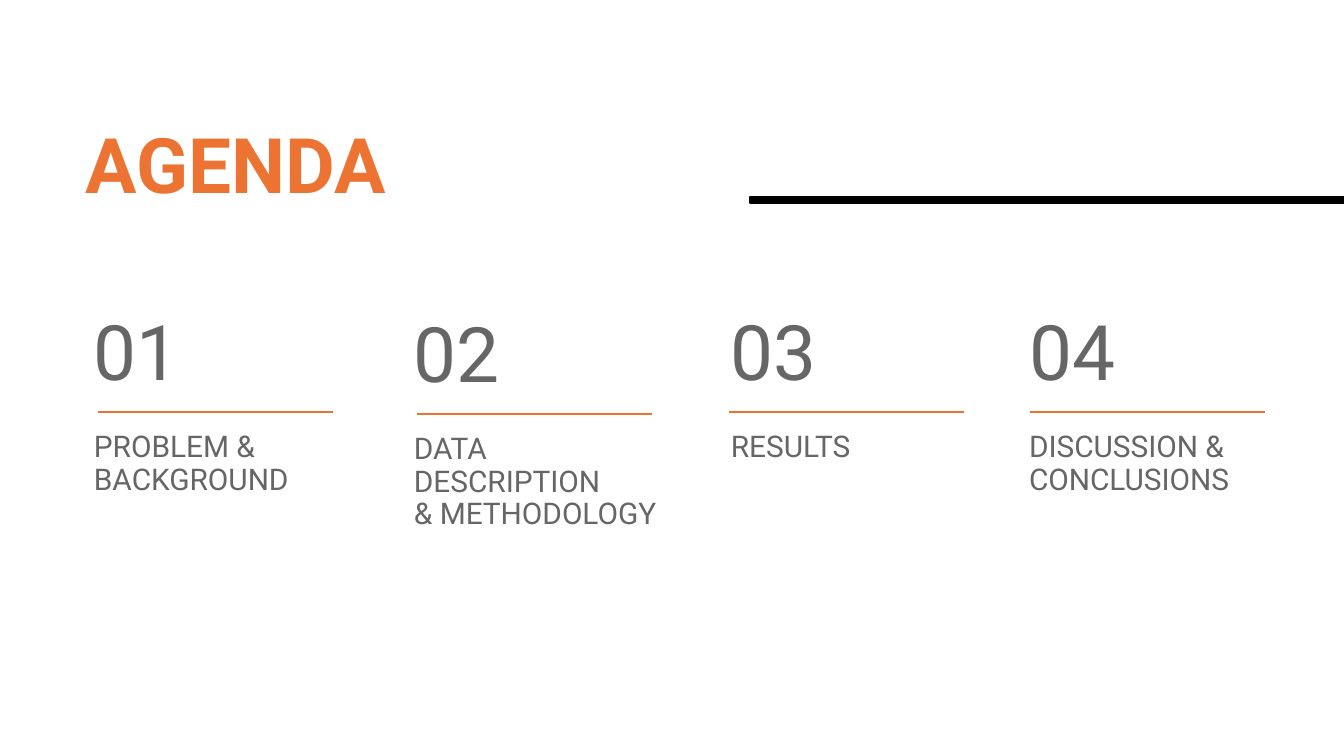
from lxml import etree
from pptx import Presentation
from pptx.dml.color import RGBColor
from pptx.enum.shapes import MSO_CONNECTOR, MSO_SHAPE
from pptx.enum.text import MSO_ANCHOR, MSO_AUTO_SIZE, PP_ALIGN
from pptx.oxml.ns import qn
from pptx.util import Emu, Pt

STRAIGHT = MSO_CONNECTOR.STRAIGHT
RECT = MSO_SHAPE.RECTANGLE
TOP = MSO_ANCHOR.TOP
NO_FIT = MSO_AUTO_SIZE.NONE
LEFT = PP_ALIGN.LEFT

ORANGE, GRAY, BLACK = "ED7333", "666666", "000000"
FONT = "Roboto"
RULE_WIDTH, RULE_DROP = 235, 103
COLUMNS = [
    (85, 309, 297, 396, 98, ["PROBLEM & BACKGROUND"]),
    (405, 311, 278, 352, 417, ["DATA DESCRIPTION", "& METHODOLOGY"]),
    (722, 309, 294, 396, 729, ["RESULTS"]),
    (1020, 309, 288, 396, 1030, ["DISCUSSION & CONCLUSIONS"]),
]


def px(n):
    """Convert pixels at 134.4 to the inch into EMU."""
    return Emu(round(n * 914400 / 134.4))


def rgb(value):
    """Return the colour for a hex string."""
    return RGBColor.from_string(value)


def set_frame(tf):
    """Set the margins, wrapping and anchor shared by all text."""
    tf.word_wrap = True
    tf.auto_size = NO_FIT
    tf.vertical_anchor = TOP
    tf.margin_left = tf.margin_right = px(9)
    tf.margin_top = tf.margin_bottom = px(5)


def write(p, text, size=16, color=GRAY, bold=False, before=0):
    """Write one formatted run into a paragraph."""
    p.alignment = LEFT
    p.line_spacing = 0.9
    p.space_before = Pt(before)
    r = p.add_run()
    r.text = text
    r.font.name = FONT
    r.font.size = Pt(size)
    r.font.bold = bold
    r.font.color.rgb = rgb(color)


def add_title(s, text):
    """Place and format the title placeholder."""
    sp = s.shapes.title
    sp.left, sp.top, sp.width, sp.height = px(77), px(122), px(585), px(101)
    set_frame(sp.text_frame)
    write(sp.text_frame.paragraphs[0], text, size=41, color=ORANGE, bold=True)


def add_bar(s, x, y, w, h):
    """Add a solid black bar."""
    sp = s.shapes.add_shape(RECT, px(x), px(y), px(w), px(h))
    sp.shadow.inherit = False
    sp.fill.solid()
    sp.fill.fore_color.rgb = rgb(BLACK)
    sp.line.color.rgb = rgb(BLACK)
    sp.line.width = Pt(0.75)


def add_rule(s, x, y):
    """Add a thin orange rule under a number."""
    line = s.shapes.add_connector(STRAIGHT, px(x), px(y), px(x + RULE_WIDTH), px(y))
    line.line.color.rgb = rgb(ORANGE)
    line.line.width = Pt(0.75)
    etree.SubElement(line.element.spPr, qn("a:effectLst"))


def add_column(s, number, x, y, w, h, rule_x, labels):
    """Add one agenda item with its number, rule and label."""
    tf = s.shapes.add_textbox(px(x), px(y), px(w), px(h)).text_frame
    set_frame(tf)
    write(tf.paragraphs[0], f"{number:02}", size=41)
    for i, label in enumerate(labels):
        write(tf.add_paragraph(), label, before=0 if i else 19)
    add_rule(s, rule_x, y + RULE_DROP)


def main():
    """Build the agenda slide."""
    prs = Presentation()
    prs.slide_width, prs.slide_height = px(1344), px(756)
    s = prs.slides.add_slide(prs.slide_layouts[5])
    add_title(s, "AGENDA")
    add_bar(s, 750, 197, 594, 6)
    for number, column in enumerate(COLUMNS, 1):
        add_column(s, number, *column)
    prs.save("out.pptx")


if __name__ == "__main__":
    main()
